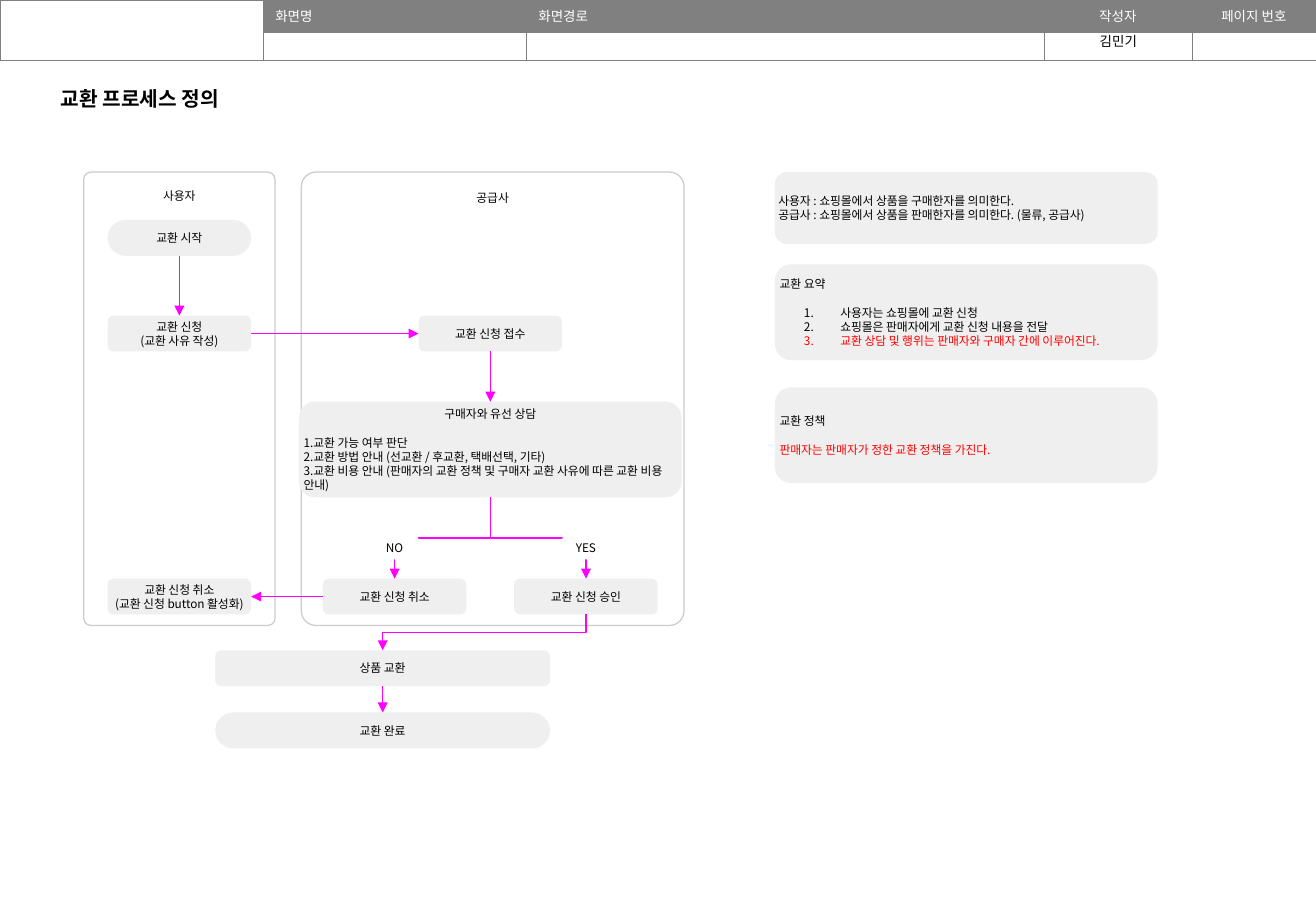
from lxml import etree
from pptx import Presentation
from pptx.dml.color import RGBColor
from pptx.enum.shapes import MSO_CONNECTOR, MSO_SHAPE
from pptx.enum.text import MSO_ANCHOR, PP_ALIGN
from pptx.oxml.ns import qn
from pptx.util import Cm, Pt

LEFT, CENTER = PP_ALIGN.LEFT, PP_ALIGN.CENTER
TOP, MIDDLE = MSO_ANCHOR.TOP, MSO_ANCHOR.MIDDLE
STRAIGHT, ELBOW = MSO_CONNECTOR.STRAIGHT, MSO_CONNECTOR.ELBOW
ROUNDED = MSO_SHAPE.ROUNDED_RECTANGLE
SIDE_TOP, SIDE_LEFT, SIDE_BOTTOM, SIDE_RIGHT = range(4)

BLACK = RGBColor(0x00, 0x00, 0x00)
WHITE = RGBColor(0xFF, 0xFF, 0xFF)
RED = RGBColor(0xFF, 0x00, 0x00)
MAGENTA = RGBColor(0xFF, 0x00, 0xFF)
HEADER_GRAY = RGBColor(0x80, 0x80, 0x80)
PANEL_LINE = RGBColor(0xCC, 0xCC, 0xCC)
BOX_GRAY = RGBColor(0xEF, 0xEF, 0xEF)

FONT = "Noto Sans CJK KR"
PILL, ROUND, PANEL = 0.5, 0.167, 0.038
STEP_WIDTH, STEP_HEIGHT = 3, 0.75
BLANK_LINE = 8.5


def write(frame, text, size=7, color=BLACK, bold=False, align=LEFT,
          gap_before=0, line_spacing=None, numbered=False):
    """Add one paragraph per line of text, reusing the empty first paragraph."""
    for index, line in enumerate(text.split("\n")):
        paragraph = frame.paragraphs[0] if not frame.text else frame.add_paragraph()
        paragraph.alignment = align
        if gap_before and index == 0:
            paragraph.space_before = Pt(gap_before)
        if line_spacing:
            paragraph.line_spacing = line_spacing
        if numbered:
            add_number(paragraph, color)
        if not line:
            etree.SubElement(paragraph._p, qn("a:endParaRPr"), sz=str(size * 100))
            continue
        run = paragraph.add_run()
        run.text = line
        run.font.size, run.font.bold, run.font.name = Pt(size), bold, FONT
        run.font.color.rgb = color
        etree.SubElement(run._r.get_or_add_rPr(), qn("a:ea"), typeface=FONT)


def add_number(paragraph, color):
    properties = paragraph._p.get_or_add_pPr()
    properties.set("marL", str(Cm(1.27)))
    properties.set("indent", str(Cm(-0.76)))
    number_color = etree.SubElement(properties, qn("a:buClr"))
    etree.SubElement(number_color, qn("a:srgbClr"), val=str(color))
    etree.SubElement(properties, qn("a:buAutoNum"), type="arabicPeriod")


def set_borders(cell, color, width):
    properties = cell._tc.get_or_add_tcPr()
    for side in ("lnL", "lnR", "lnT", "lnB"):
        border = etree.SubElement(properties, qn(f"a:{side}"), w=str(Pt(width)))
        fill = etree.SubElement(border, qn("a:solidFill"))
        etree.SubElement(fill, qn("a:srgbClr"), val=str(color))


class ProcessSlide:
    def __init__(self, presentation):
        self.slide = presentation.slides.add_slide(presentation.slide_layouts[6])

    def header(self, widths, row_height, titles):
        table = self.slide.shapes.add_table(
            2, len(widths), 0, 0, Cm(sum(widths)), Cm(2 * row_height)).table
        table.first_row = table.horz_banding = False
        for row in table.rows:
            row.height = Cm(row_height)
        for column, (width, (title, align)) in enumerate(zip(widths, titles)):
            table.columns[column].width = Cm(width)
            for row, text in enumerate((title, "")):
                cell = table.cell(row, column)
                set_borders(cell, HEADER_GRAY, 0.25)
                write(cell.text_frame, text, size=8, color=WHITE, align=align)
                if text:
                    cell.fill.solid()
                    cell.fill.fore_color.rgb = HEADER_GRAY
                else:
                    cell.fill.background()
        table.cell(0, 0).merge(table.cell(1, 0))

    def text_box(self, left, top, width, height, text, **style):
        box = self.slide.shapes.add_textbox(Cm(left), Cm(top), Cm(width), Cm(height))
        box.text_frame.word_wrap = True
        write(box.text_frame, text, **style)

    def box(self, left, top, width, height, text, corner=ROUND, fill=BOX_GRAY,
            line=None, anchor=MIDDLE, inset_top=0, align=CENTER):
        shape = self.slide.shapes.add_shape(
            ROUNDED, Cm(left), Cm(top), Cm(width), Cm(height))
        shape.adjustments[0] = corner
        shape.shadow.inherit = False
        shape.fill.solid()
        shape.fill.fore_color.rgb = fill
        if line:
            shape.line.color.rgb = line
            shape.line.width = Pt(0.75)
        else:
            shape.line.fill.background()
        frame = shape.text_frame
        frame.word_wrap, frame.vertical_anchor = True, anchor
        frame.margin_left = frame.margin_right = frame.margin_bottom = 0
        frame.margin_top = Cm(inset_top)
        write(frame, text, align=align)
        return shape

    def panel(self, left, width, text):
        self.box(left, 3.6, width, 9.48, text, corner=PANEL, fill=WHITE,
                 line=PANEL_LINE, anchor=TOP, inset_top=0.3)

    def step(self, left, top, text, width=STEP_WIDTH, corner=ROUND):
        return self.box(left, top, width, STEP_HEIGHT, text, corner=corner)

    def arrow(self, start, end, start_side=SIDE_BOTTOM, end_side=SIDE_TOP, kind=STRAIGHT):
        connector = self.slide.shapes.add_connector(kind, 0, 0, 0, 0)
        connector.begin_connect(start, start_side)
        connector.end_connect(end, end_side)
        connector.line.color.rgb = MAGENTA
        connector.line.width = Pt(0.75)
        properties = connector._element.spPr
        etree.SubElement(connector.line._get_or_add_ln(), qn("a:tailEnd"), type="triangle")
        etree.SubElement(properties, qn("a:effectLst"))
        return connector

    def branch(self, start, end):
        """Elbow arrow that leaves downwards, turns halfway and arrives from above."""
        connector = self.arrow(start, end, kind=ELBOW)
        x1, y1 = connector.begin_x, connector.begin_y
        x2, y2 = connector.end_x, connector.end_y
        length, spread = y2 - y1, abs(x2 - x1)
        connector.left = (x1 + x2 - length) // 2
        connector.top = (y1 + y2 - spread) // 2
        connector.width, connector.height = length, spread
        transform = connector._element.spPr.find(qn("a:xfrm"))
        goes_right = x2 > x1
        transform.set("rot", str((270 if goes_right else 90) * 60000))
        transform.set("flipH", "1" if goes_right else "0")
        transform.set("flipV", "0")


def main():
    presentation = Presentation()
    presentation.slide_width, presentation.slide_height = Cm(27.51), Cm(19.05)
    page = ProcessSlide(presentation)

    page.header([5.5, 5.5, 10.82, 3.1, 2.59], 0.6,
                [("", LEFT), ("화면명", LEFT), ("화면경로", LEFT),
                 ("작성자", CENTER), ("페이지 번호", CENTER)])
    page.text_box(21.82, 0.56, 3.12, 0.6, "김민기", size=8, align=CENTER)
    page.text_box(1.02, 1.42, 13.77, 0.91, "교환 프로세스 정의",
                  size=12, bold=True, line_spacing=1.5)

    page.panel(6.3, 8, "공급사")
    page.panel(1.75, 4, "사용자")

    start = page.step(2.25, 4.6, "교환 시작", corner=PILL)
    request = page.step(2.25, 6.6, "교환 신청\n(교환 사유 작성)")
    receipt = page.step(8.75, 6.6, "교환 신청 접수")
    consultation = page.box(6.25, 8.4, 8, 2, "구매자와 유선 상담")
    write(consultation.text_frame,
          "1.교환 가능 여부 판단\n"
          "2.교환 방법 안내 (선교환 / 후교환, 택배선택, 기타)\n"
          "3.교환 비용 안내 (판매자의 교환 정책 및 구매자 교환 사유에 따른 교환 비용 안내)",
          gap_before=BLANK_LINE)
    approval = page.step(10.75, 12.1, "교환 신청 승인")
    refusal = page.step(6.75, 12.1, "교환 신청 취소")
    cancellation = page.step(2.25, 12.1, "교환 신청 취소\n(교환 신청 button 활성화)")
    exchange = page.step(4.5, 13.6, "상품 교환", width=7)
    finish = page.step(4.5, 14.9, "교환 완료", width=7, corner=PILL)

    for upper, lower in ((start, request), (receipt, consultation), (exchange, finish)):
        page.arrow(upper, lower)
    page.arrow(request, receipt, SIDE_RIGHT, SIDE_LEFT)
    page.arrow(refusal, cancellation, SIDE_LEFT, SIDE_RIGHT)
    for upper, lower in ((consultation, approval), (consultation, refusal),
                         (approval, exchange)):
        page.branch(upper, lower)
    for left, answer in ((11.75, "YES"), (7.75, "NO")):
        page.box(left, 11.2, 1, 0.5, answer, fill=WHITE)

    page.box(16.2, 3.6, 8, 1.5,
             "사용자 : 쇼핑몰에서 상품을 구매한자를 의미한다.\n"
             "공급사 : 쇼핑몰에서 상품을 판매한자를 의미한다. (물류, 공급사)", align=LEFT)
    summary = page.box(16.2, 5.53, 8, 2, "교환 요약", align=LEFT).text_frame
    write(summary, "사용자는 쇼핑몰에 교환 신청\n쇼핑몰은 판매자에게 교환 신청 내용을 전달",
          gap_before=BLANK_LINE, numbered=True)
    write(summary, "교환 상담 및 행위는 판매자와 구매자 간에 이루어진다.",
          color=RED, numbered=True)
    policy = page.box(16.2, 8.1, 8, 2, "교환 정책", align=LEFT).text_frame
    write(policy, "판매자는 판매자가 정한 교환 정책을 가진다.",
          color=RED, gap_before=BLANK_LINE)

    presentation.save("out.pptx")


if __name__ == "__main__":
    main()
